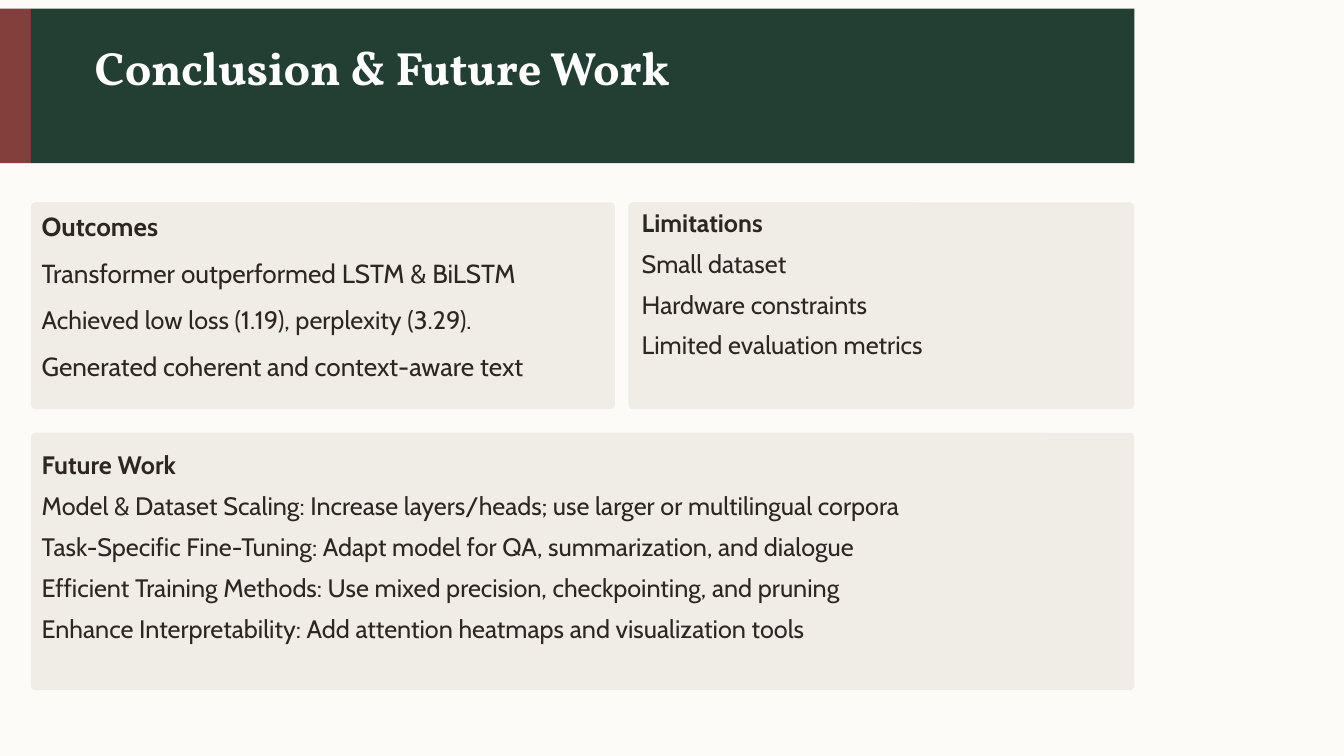
from dataclasses import dataclass

from pptx import Presentation
from pptx.dml.color import RGBColor
from pptx.enum import shapes, text
from pptx.util import Inches, Pt


@dataclass(frozen=True)
class Theme:
    page: str = "FCFBF8"
    card: str = "F0EDE6"
    accent: str = "833F3B"
    band: str = "233E32"
    ink: str = "2C2821"
    white: str = "FFFFFF"
    heading_font: str = "Vollkorn"
    body_font: str = "Cabin"
    title_size: int = 50
    large_size: int = 28
    body_size: int = 27


theme = Theme()


def add_block(box, color, radius=0):
    """Add a plain rectangle, rounded when a radius in inches is given."""
    kind = shapes.MSO_SHAPE.ROUNDED_RECTANGLE if radius else shapes.MSO_SHAPE.RECTANGLE
    sp = s.shapes.add_shape(kind, *map(Inches, box))
    if radius:
        sp.adjustments[0] = radius / min(box[2:])
    sp.shadow.inherit = False
    sp.fill.solid()
    sp.fill.fore_color.rgb = RGBColor.from_string(color)
    sp.line.fill.background()


def add_text(lines, box, *, sizes, spacings, font=theme.body_font, color=theme.ink,
             inset=0, anchor=text.MSO_ANCHOR.TOP):
    """Add one paragraph per line, the first in bold."""
    sp = s.shapes.add_textbox(*map(Inches, box))
    tf = sp.text_frame
    tf.word_wrap = True
    tf.vertical_anchor = anchor
    tf.margin_left = Inches(inset)
    tf.margin_right = tf.margin_top = tf.margin_bottom = 0
    for i, (line, size, spacing) in enumerate(zip(lines, sizes, spacings)):
        p = tf.paragraphs[0] if i == 0 else tf.add_paragraph()
        p.line_spacing = Pt(spacing)
        r = p.add_run()
        r.text = line
        r.font.name = font
        r.font.size = Pt(size)
        r.font.bold = i == 0
        r.font.color.rgb = RGBColor.from_string(color)


prs = Presentation()
prs.slide_width, prs.slide_height = Inches(20), Inches(11.25)
s = prs.slides.add_slide(prs.slide_layouts[6])
s.background.fill.solid()
s.background.fill.fore_color.rgb = RGBColor.from_string(theme.page)

# Header
left, width = 0.46, 16.42
band_top, band_height = 0.13, 2.3
add_block((0, band_top, left, band_height), theme.accent)
add_block((left, band_top, width, band_height), theme.band)
add_text(["Conclusion & Future Work"], (left, -0.74, width, 3.17),
         sizes=[theme.title_size], spacings=[81.4], font=theme.heading_font,
         color=theme.white, inset=0.95, anchor=text.MSO_ANCHOR.MIDDLE)

# Cards
for box in [(left, 3.01, 8.69, 3.08), (9.35, 3.01, 7.53, 3.08), (left, 6.44, width, 3.83)]:
    add_block(box, theme.card, radius=0.07)

large, body = theme.large_size, theme.body_size
add_text(
    ["Outcomes",
     "Transformer outperformed LSTM & BiLSTM",
     "Achieved low loss (1.19), perplexity (3.29).",
     "Generated coherent and context-aware text"],
    (0.62, 2.89, 8.37, 3.6),
    sizes=[large, large, body, large], spacings=[50.7, 50.7, 48.9, 50.7])
add_text(
    ["Limitations",
     "Small dataset",
     "Hardware constraints",
     "Limited evaluation metrics"],
    (9.55, 2.93, 7.53, 3.74), sizes=[body] * 4, spacings=[43.7] * 4)
add_text(
    ["Future Work",
     "Model & Dataset Scaling: Increase layers/heads; use larger or multilingual corpora",
     "Task-Specific Fine-Tuning: Adapt model for QA, summarization, and dialogue",
     "Efficient Training Methods: Use mixed precision, checkpointing, and pruning",
     "Enhance Interpretability: Add attention heatmaps and visualization tools"],
    (0.62, 6.52, 15.6, 3.74), sizes=[body] * 5, spacings=[44] * 5)

prs.save("out.pptx")
